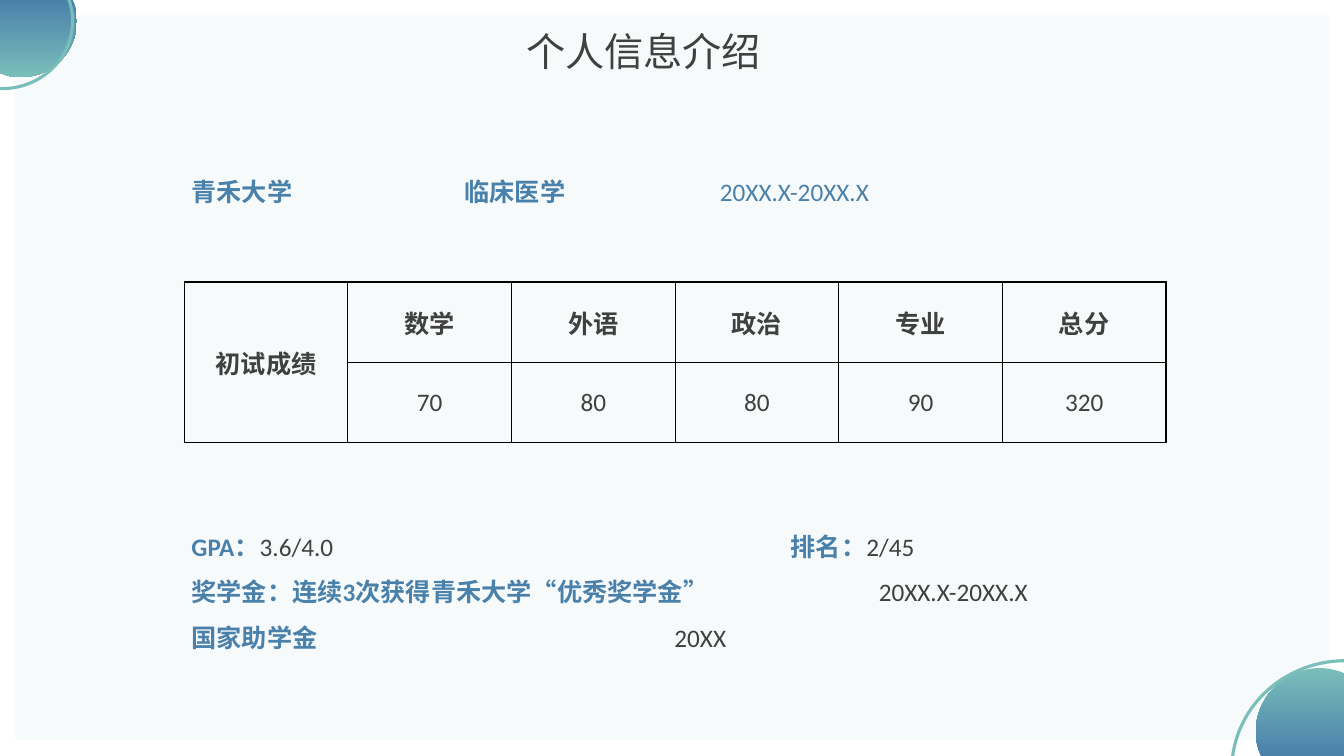
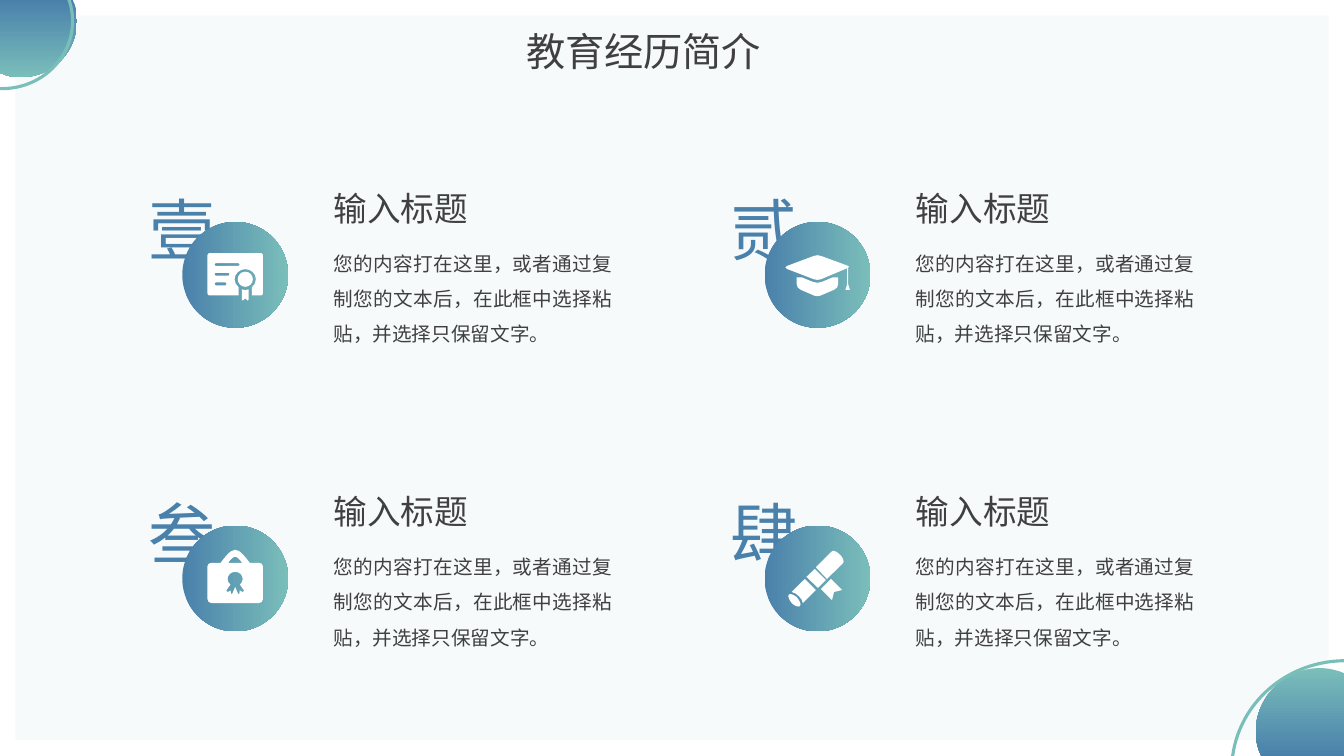
from dataclasses import dataclass

from lxml.etree import SubElement
from pptx import Presentation
from pptx.dml.color import RGBColor as Rgb
from pptx.enum.shapes import MSO_SHAPE as Preset
from pptx.enum.text import MSO_ANCHOR as Anchor, MSO_AUTO_SIZE as AutoSize, PP_ALIGN as Align
from pptx.oxml.ns import qn
from pptx.util import Pt


@dataclass(frozen=True)
class Theme:
    font: str = "Calibri"
    ink: str = "404040"
    blue: str = "4A81AB"
    teal: str = "7ABEBA"
    panel: str = "6AAAB5"
    white: str = "FFFFFF"
    border: str = "000000"
    title: int = 28
    numeral: int = 48
    heading: int = 24
    label: int = 18
    body: int = 14


THEME = Theme()

PROFILE_TITLE = "个人信息介绍"
SCHOOL = [("青禾大学\t临床医学\t", True), ("20XX.X-20XX.X", False)]
SCHOOL_STOPS = [195, 377.5]
SCORE_LABEL = "初试成绩"
SCORES = [("数学", "70"), ("外语", "80"), ("政治", "80"), ("专业", "90"), ("总分", "320")]
HONOURS = [
    (428, [("GPA：", True), ("3.6/4.0\t", False), ("排名：", True), ("2/45", False)]),
    (491, [("奖学金：连续3次获得青禾大学“优秀奖学金”\t", True), ("20XX.X-20XX.X", False)]),
    (345, [("国家助学金\t", True), ("20XX", False)]),
]

EDUCATION_TITLE = "教育经历简介"
STAGE_HEADING = "输入标题"
STAGE_BODY = "您的内容打在这里，或者通过复制您的文本后，在此框中选择粘贴，并选择只保留文字。"


def pill(left, top, right, bottom):
    return [(left, top), (right, top),
            (right + 1, top, right + 1, bottom, right, bottom),
            (left, bottom), (left - 1, bottom, left - 1, top, left, top)]


def circle(x, y, r):
    k = 0.55 * r
    return [(x + r, y), (x + r, y + k, x + k, y + r, x, y + r),
            (x - k, y + r, x - r, y + k, x - r, y),
            (x - r, y - k, x - k, y - r, x, y - r),
            (x + k, y - r, x + r, y - k, x + r, y)]


CERTIFICATE = [
    [(19.4, 22.3), (56.2, 22.3), (57, 22.3, 57.6, 23, 57.6, 23.8), (57.6, 51.1),
     (57.6, 52, 57, 52.6, 56.2, 52.6), (49.7, 52.6), (49.7, 46.8),
     (51.4, 45.4, 52.6, 43.3, 52.6, 41), (52.6, 37, 49.3, 33.8, 45, 33.8),
     (41, 33.8, 37.4, 37, 37.4, 41), (37.4, 43.3, 38.6, 45.4, 40.3, 46.8),
     (40.3, 52.6), (19.4, 52.6), (18.6, 52.6, 18, 52, 18, 51.1), (18, 23.8),
     (18, 23, 18.6, 22.3, 19.4, 22.3)],
    *[pill(23.8, y, right, y + 2) for y, right in [(29.5, 40.3), (36.4, 33.1), (43.3, 31)]],
    circle(45, 41, 5.4),
    [(42.5, 48.2), (44.2, 49, 45.8, 49, 47.5, 48.2), (47.5, 55.4), (46.8, 56.2),
     (45, 54.7), (43.2, 56.2), (42.5, 55.4)],
]
CAP = [
    [(23, 39.6), (26.6, 39.6), (34.6, 42.9), (36.7, 43.7, 38.9, 43.7, 41, 42.9),
     (48.7, 39.6), (52.6, 39.6), (52.6, 44.6), (52.6, 46.3, 51.4, 47.8, 49.7, 48.5),
     (39.9, 52.7), (38.5, 53.2, 37, 53.2, 35.6, 52.7), (25.9, 48.5),
     (24.2, 47.8, 23, 46.3, 23, 44.6)],
    [(37.8, 23.8), (38.7, 23.8, 39.5, 24, 40.3, 24.3), (59.4, 31.3),
     (60.6, 31.7, 60.6, 32.3, 59.8, 32.7), (59.8, 44.6), (61, 48.6), (57.8, 48.6),
     (59, 44.6), (59, 33.1), (40.3, 41), (38.7, 41.6, 36.9, 41.6, 35.3, 41),
     (16, 33.6), (14.6, 33, 14.6, 32, 16, 31.5), (35.3, 24.3),
     (36.1, 24, 36.9, 23.8, 37.8, 23.8)],
]
BRIEFCASE = [
    [(54.7, 26.6), (48.2, 26.6), (45.4, 23, 41.4, 17.3, 37.8, 17.3),
     (34.2, 17.3, 30.2, 23, 27.4, 26.6), (20.9, 26.6), (19.3, 26.6, 18, 27.6, 18, 29),
     (18, 52.6), (18, 54.2, 19.3, 55.4, 20.9, 55.4), (54.7, 55.4),
     (56.3, 55.4, 57.6, 54.2, 57.6, 52.6), (57.6, 29), (57.6, 27.6, 56.3, 26.6, 54.7, 26.6)],
    [(32.4, 38.2), (32.4, 35.3, 34.8, 33.1, 37.8, 33.1), (40.8, 33.1, 43.2, 35.3, 43.2, 38.2),
     (43.2, 39.8, 42.4, 41.2, 41.2, 42.2), (43.9, 46.1), (44.1, 46.8), (43.2, 47.5),
     (41.1, 46.4), (40.8, 48.6), (40, 49), (37.8, 43.9), (35.6, 49), (34.8, 48.6),
     (34.5, 46.4), (32.4, 47.5), (31.5, 46.8), (31.7, 46.1), (34.4, 42.2),
     (33.2, 41.2, 32.4, 39.8, 32.4, 38.2)],
    [(37.8, 22.3), (39, 22.3, 40.8, 23.8, 42.8, 26.6), (32.8, 26.6),
     (34.8, 23.8, 36.6, 22.3, 37.8, 22.3)],
]
SCROLL = [
    [(18.7, 49), (19.4, 49, 21.6, 49.7, 23, 51.1), (25.2, 54, 26.6, 56.2, 25.2, 57.6),
     (24.5, 58.3, 21.6, 57.6, 19.4, 55.4), (17.3, 52.6, 16.6, 50.4, 17.3, 49.3),
     (17.8, 49, 18.2, 49, 18.7, 49)],
    [(47.5, 38.2), (55.4, 46.1), (49.7, 47.5), (48.2, 53.3), (40.3, 45.4)],
    [(28.8, 38.2), (36.7, 46.1), (27.4, 55.4), (27.4, 54, 26, 51.8, 24.5, 50.4),
     (23, 49, 20.9, 47.5, 19.4, 47.5)],
    [(36, 31), (43.9, 38.9), (38.2, 44.6), (29.9, 36.7)],
    [(49, 18), (50.4, 18, 52.6, 19.1, 54, 20.9), (56.2, 23, 56.9, 25.9, 56.2, 26.8),
     (44.6, 38.2), (36.7, 29.9), (47.9, 18.7), (48.2, 18.3, 48.6, 18, 49, 18)],
]
STAGES = [("壹", CERTIFICATE), ("贰", CAP), ("叁", BRIEFCASE), ("肆", SCROLL)]

CORNERS = [
    ([(0, 0), (52, 0), (54, 4.5, 54.9, 9.7, 54.9, 15), (54.9, 37.4, 37.2, 55.1, 15, 55.1),
      (9.7, 55.1, 4.5, 54.2, 0, 52)],
     (THEME.blue, THEME.teal), (-46.8, -35.3, 96.5, 100.8), 90, (150.99, 1.72)),
    ([(960, 540), (901, 540), (898.6, 535, 897, 529, 897, 522.7),
      (897, 497.7, 917.8, 477.2, 942.6, 477.2), (949, 477.2, 954.8, 478.5, 960, 481)],
     (THEME.teal, THEME.blue), (882.7, 469, 156.2, 162), 270, (166.04, 0.12)),
]


def rgb(color):
    return Rgb.from_string(color)


def box(*lengths):
    return [Pt(length) for length in lengths]


def paint(shape, *colors, angle=0):
    shape.shadow.inherit = False
    shape.line.fill.background()
    if len(colors) == 1:
        shape.fill.solid()
        shape.fill.fore_color.rgb = rgb(colors[0])
        return
    shape.fill.gradient()
    shape.fill.gradient_angle = angle
    for stop, color in zip(shape.fill.gradient_stops, colors):
        stop.color.rgb = rgb(color)


def bend_curves(shape, contours):
    segments = iter(list(shape.element.iter(qn("a:lnTo"))))
    for contour in contours:
        for node in contour[1:]:
            segment = next(segments)
            if len(node) == 6:
                segment.tag = qn("a:cubicBezTo")
                for follower in (next(segments), next(segments)):
                    segment.append(follower[0])
                    follower.getparent().remove(follower)


def draw_outline(slide, contours, left=0, top=0):
    outlines = [[(Pt(left + x), Pt(top + y)) for node in contour
                 for x, y in zip(node[::2], node[1::2])] for contour in contours]
    builder = slide.shapes.build_freeform(*outlines[0][0])
    for index, points in enumerate(outlines):
        if index:
            builder.move_to(*points[0])
        builder.add_line_segments(points[1:], close=True)
    shape = builder.convert_to_shape()
    bend_curves(shape, contours)
    return shape


def write(paragraph, text, *, size, color=THEME.ink, bold=False, align=Align.LEFT, spacing=None):
    paragraph.alignment = align
    if spacing:
        paragraph.line_spacing = spacing
    run = paragraph.add_run()
    run.text = text
    run.font.name = THEME.font
    run.font.size = Pt(size)
    run.font.bold = bold
    run.font.color.rgb = rgb(color)


def add_frame(slide, *lengths):
    frame = slide.shapes.add_textbox(*box(*lengths)).text_frame
    frame.word_wrap = True
    return frame


def set_tabs(paragraph, stops):
    tabs = SubElement(paragraph._p.get_or_add_pPr(), qn("a:tabLst"))
    for stop in stops:
        SubElement(tabs, qn("a:tab"), pos=str(Pt(stop)), algn="l")


def set_borders(cell):
    properties = cell._tc.get_or_add_tcPr()
    for side in "LRTB":
        line = SubElement(properties, qn(f"a:ln{side}"), w=str(Pt(1)))
        fill = SubElement(line, qn("a:solidFill"))
        SubElement(fill, qn("a:srgbClr"), val=THEME.border)


def start_slide(deck, heading):
    slide = deck.slides.add_slide(deck.slide_layouts[5])
    panel = slide.shapes.add_shape(Preset.RECTANGLE, *box(11, 11, 938, 517.5))
    paint(panel, THEME.panel)
    tint = panel.fill._xPr.find(qn("a:solidFill"))[0]
    SubElement(tint, qn("a:alpha"), val="5000")
    for contour, colors, arc_box, turn, angles in CORNERS:
        paint(draw_outline(slide, [contour]), *colors, angle=270)
        arc = slide.shapes.add_shape(Preset.ARC, *box(*arc_box))
        arc.shadow.inherit = False
        arc.fill.background()
        arc.rotation = turn
        arc.adjustments[0], arc.adjustments[1] = angles
        arc.line.color.rgb = rgb(THEME.teal)
        arc.line.width = Pt(2.25)
    title = slide.shapes.title
    title.left, title.top, title.width, title.height = box(368.6, 15.8, 222.5, 41)
    title.text_frame.auto_size = AutoSize.NONE
    title.text_frame.vertical_anchor = Anchor.TOP
    write(title.text_frame.paragraphs[0], heading, size=THEME.title)
    title.element.getparent().append(title.element)
    return slide


def add_scores(slide):
    columns = [(SCORE_LABEL, "")] + SCORES
    table = slide.shapes.add_table(2, len(columns), *box(131.6, 201.5, 701.3, 114.8)).table
    table.first_row = table.horz_banding = False
    for column, values in enumerate(columns):
        for row, value in enumerate(values):
            cell = table.cell(row, column)
            set_borders(cell)
            cell.fill.background()
            cell.vertical_anchor = Anchor.MIDDLE
            if value:
                write(cell.text_frame.paragraphs[0], value, size=THEME.label,
                      bold=row == 0, align=Align.CENTER)
    table.cell(0, 0).merge(table.cell(1, 0))


def build_profile(deck):
    slide = start_slide(deck, PROFILE_TITLE)
    add_scores(slide)
    school = add_frame(slide, 129.7, 118.8, 701.4, 31).paragraphs[0]
    for text, bold in SCHOOL:
        write(school, text, size=THEME.label, color=THEME.blue, bold=bold, spacing=Pt(25))
    set_tabs(school, SCHOOL_STOPS)
    honours = add_frame(slide, 129.7, 365.2, 701.4, 105)
    for index, (stop, parts) in enumerate(HONOURS):
        line = honours.add_paragraph() if index else honours.paragraphs[0]
        for text, bold in parts:
            write(line, text, size=THEME.label, bold=bold, spacing=1.5,
                  color=THEME.blue if bold else THEME.ink)
        set_tabs(line, [stop])


def build_education(deck):
    slide = start_slide(deck, EDUCATION_TITLE)
    for index, (numeral, icon) in enumerate(STAGES):
        row, column = divmod(index, 2)
        left, top = 130.2 + 415.9 * column, 158.5 + 216.9 * row
        write(add_frame(slide, left - 34.5, top - 27.4, 68.4, 65.5).paragraphs[0], numeral,
              size=THEME.numeral, color=THEME.blue, align=Align.CENTER)
        disc = slide.shapes.add_shape(Preset.OVAL, *box(left, top, 75.6, 75.6))
        paint(disc, THEME.blue, THEME.teal)
        paint(draw_outline(slide, icon, left, top), THEME.white)
        write(add_frame(slide, left + 101, top - 28.1, 135.4, 36).paragraphs[0],
              STAGE_HEADING, size=THEME.heading)
        write(add_frame(slide, left + 100.9, top + 9.2, 213.5, 83.5).paragraphs[0],
              STAGE_BODY, size=THEME.body, align=Align.JUSTIFY, spacing=1.5)


def main():
    deck = Presentation()
    deck.slide_width, deck.slide_height = box(960, 540)
    build_profile(deck)
    build_education(deck)
    deck.save("out.pptx")


if __name__ == "__main__":
    main()
